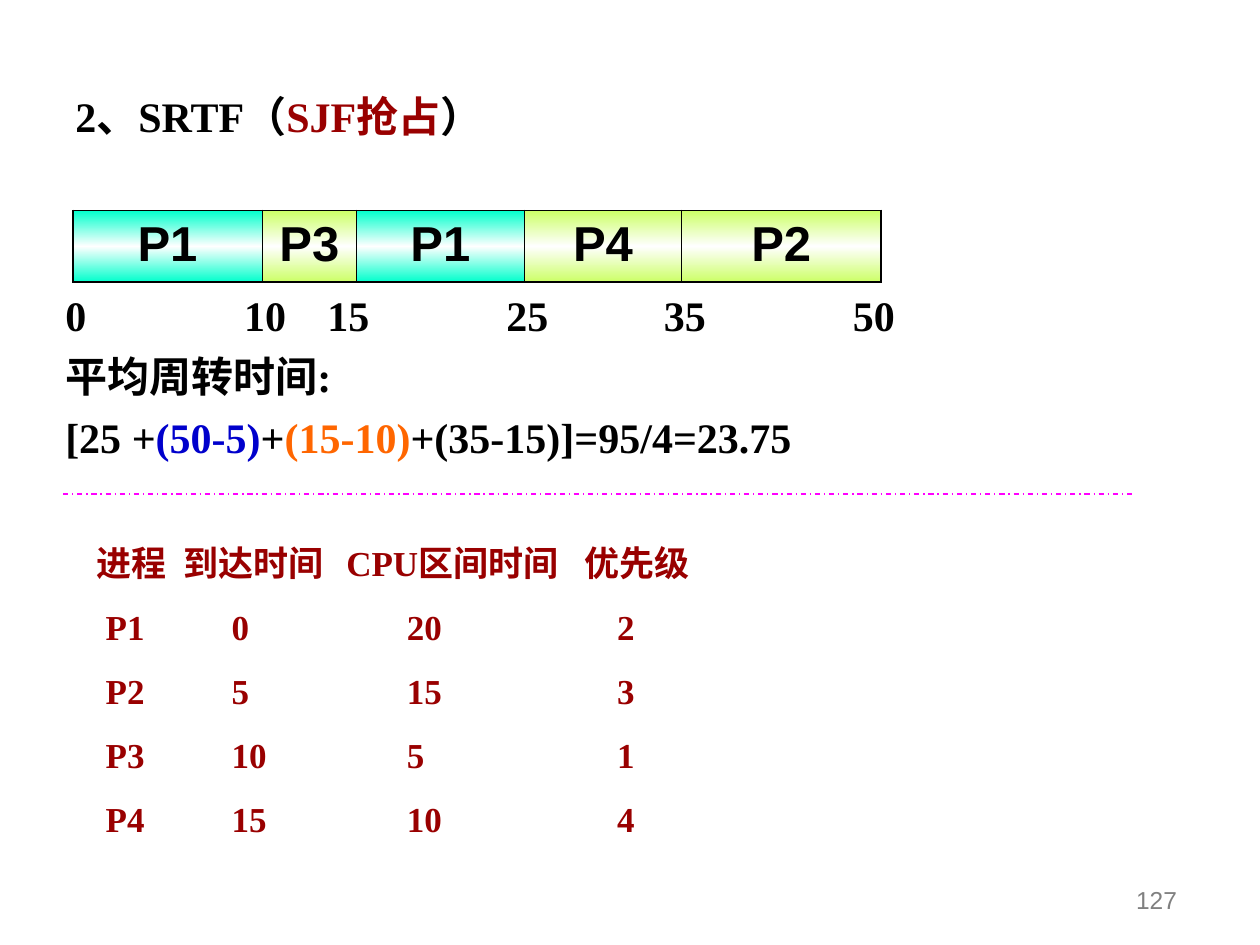
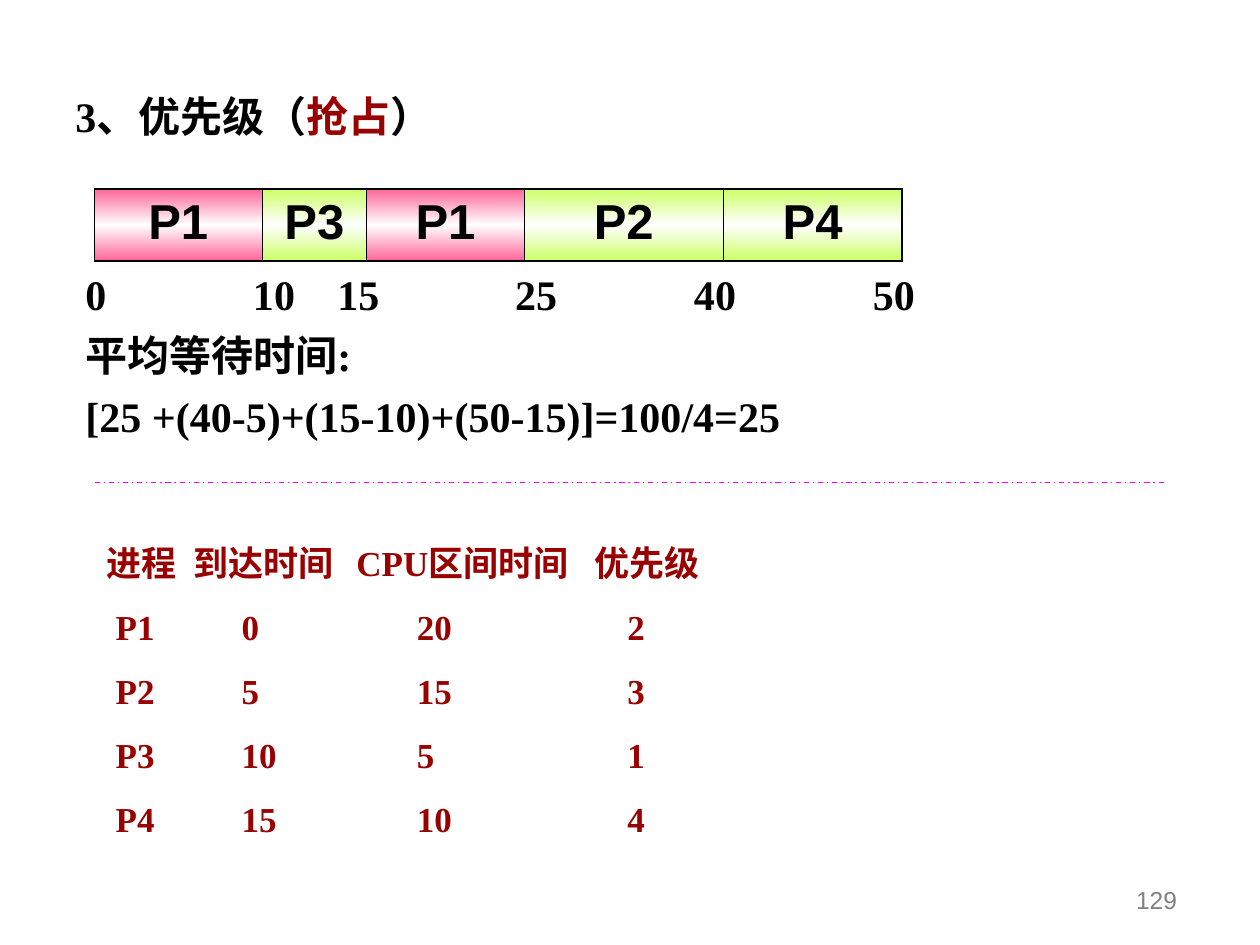
from pptx import Presentation
from pptx.dml.color import RGBColor
from pptx.enum.dml import MSO_LINE
from pptx.enum.shapes import MSO_CONNECTOR
from pptx.enum.text import MSO_ANCHOR, PP_ALIGN
from pptx.oxml import parse_xml
from pptx.oxml.ns import nsdecls, qn
from pptx.util import Inches, Pt
from lxml import etree

BLACK, RED, BLUE, ORANGE = "000000", "990000", "0000CC", "FF6600"
GRAY, MAGENTA, WHITE = "808080", "FF00FF", "FFFFFF"
AQUA, PINK, LIME = "00FFCC", "FF6699", "CCFF66"
SERIF, SANS = "Times New Roman", "Arial"

PROCESS_HEADER = ("进程", "到达时间", "CPU区间时间", "优先级")
PROCESSES = [
    ("P1", "0", "20", "2"),
    ("P2", "5", "15", "3"),
    ("P3", "10", "5", "1"),
    ("P4", "15", "10", "4"),
]
HEADER_STOPS = (0.69, 1.98, 3.87)
PROCESS_STOPS = (0.07, 1.07, 2.46, 4.13)

SCHEDULES = [
    {
        "title": [("2、SRTF（", BLACK), ("SJF抢占", RED), ("）", BLACK)],
        "title_height": 0.9,
        "gantt_at": (0.58, 1.67),
        "gantt": [("P1", 1.5), ("P3", 0.75), ("P1", 1.33), ("P4", 1.25), ("P2", 1.58)],
        "running_color": AQUA,
        "times": ("0", "10", "15", "25", "35", "50"),
        "time_stops": (1.42, 2.08, 3.5, 4.75, 6.25),
        "result_at": (0.42, 2.25),
        "measure": "平均周转时间:",
        "formula": [("[25 +", BLACK), ("(50-5)", BLUE), ("+", BLACK),
                    ("(15-10)", ORANGE), ("+(35-15)]=95/4=23.75", BLACK)],
        "divider_at": (0.5, 3.92),
        "processes_left": 0.67,
        "number": "127",
    },
    {
        "title": [("3、优先级（", BLACK), ("抢占", RED), ("）", BLACK)],
        "title_height": 0.5,
        "gantt_at": (0.75, 1.5),
        "gantt": [("P1", 1.33), ("P3", 0.83), ("P1", 1.25), ("P2", 1.58), ("P4", 1.42)],
        "running_color": PINK,
        "times": ("0", "10", "15", "25", "40", "50"),
        "time_stops": (1.33, 2, 3.41, 4.83, 6.25),
        "result_at": (0.58, 2.08),
        "measure": "平均等待时间:",
        "formula": [("[25 +(40-5)+(15-10)+(50-15)]=100/4=25", BLACK)],
        "divider_at": (0.75, 3.83),
        "processes_left": 0.75,
        "number": "129",
    },
]


def rgb(color):
    return RGBColor.from_string(color)


def add_spans(para, spans, size, font=SERIF, bold=True):
    for text, color in spans:
        span = para.add_run()
        span.text = text
        span.font.name = font
        span.font.size = Pt(size)
        span.font.bold = bold
        span.font.color.rgb = rgb(color)


def set_tab_stops(para, stops):
    tab_list = etree.SubElement(para._p.get_or_add_pPr(), qn("a:tabLst"))
    for stop in stops:
        etree.SubElement(tab_list, qn("a:tab"), pos=str(int(Inches(stop))), algn="l")


def add_text(page, place, lines, size, gap=0, font=SERIF, bold=True):
    """Add a text box; each line is a pair of spans and tab stops."""
    box = page.shapes.add_textbox(*map(Inches, place))
    frame = box.text_frame
    frame.word_wrap = True
    for index, (spans, stops) in enumerate(lines):
        para = frame.add_paragraph() if index else frame.paragraphs[0]
        if stops:
            set_tab_stops(para, stops)
        para.space_before = Pt(gap if index else 0)
        add_spans(para, spans, size, font, bold)
    return frame


def style_cell(cell, color, first, last):
    """Draw the cell's borders and its vertical colour-white-colour gradient."""
    properties = cell._tc.get_or_add_tcPr()
    widths = {"L": 1.08 if first else 0.45, "R": 1.08 if last else 0.45,
              "T": 1.08, "B": 1.08}
    for side, width in widths.items():
        properties.append(parse_xml(
            f'<a:ln{side} {nsdecls("a")} w="{int(Pt(width))}"><a:solidFill>'
            f'<a:srgbClr val="{BLACK}"/></a:solidFill></a:ln{side}>'))
    stops = "".join(
        f'<a:gs pos="{position}"><a:srgbClr val="{shade}"/></a:gs>'
        for position, shade in ((0, color), (50000, WHITE), (100000, color)))
    properties.append(parse_xml(
        f'<a:gradFill {nsdecls("a")} rotWithShape="1"><a:gsLst>{stops}</a:gsLst>'
        '<a:lin ang="5400000" scaled="1"/></a:gradFill>'))


def add_gantt(page, schedule):
    bars = schedule["gantt"]
    left, top = schedule["gantt_at"]
    width = sum(length for _, length in bars)
    table = page.shapes.add_table(
        1, len(bars), *map(Inches, (left, top, width, 0.57))).table
    table.first_row = table.horz_banding = False
    for index, (process, length) in enumerate(bars):
        table.columns[index].width = Inches(length)
        cell = table.cell(0, index)
        color = schedule["running_color"] if process == "P1" else LIME
        style_cell(cell, color, index == 0, index == len(bars) - 1)
        para = cell.text_frame.paragraphs[0]
        para.alignment = PP_ALIGN.CENTER
        add_spans(para, [(process, BLACK)], 28, SANS)


def add_divider(page, left, top):
    line = page.shapes.add_connector(
        MSO_CONNECTOR.STRAIGHT, *map(Inches, (left, top, left + 8.5, top)))
    line.line.color.rgb = rgb(MAGENTA)
    line.line.width = Pt(0.75)
    line.line.dash_style = MSO_LINE.DASH_DOT
    etree.SubElement(line._element.spPr, qn("a:effectLst"))


def add_processes(page, left):
    lines = [([("\t".join(PROCESS_HEADER), RED)], HEADER_STOPS)]
    for process in PROCESSES:
        lines.append(([("\t" + "\t".join(process), RED)], PROCESS_STOPS))
    add_text(page, (left, 4.25, 5.08, 2.46), lines, 20, gap=12.5)


def add_page_number(page, number):
    frame = add_text(page, (7.36, 6.81, 2.08, 0.5), [([(number, GRAY)], ())],
                     14, font=SANS, bold=False)
    frame.vertical_anchor = MSO_ANCHOR.BOTTOM
    frame.paragraphs[0].alignment = PP_ALIGN.RIGHT


def add_schedule(deck, schedule):
    page = deck.slides.add_slide(deck.slide_layouts[6])
    add_text(page, (0.5, 0.67, 3.75, schedule["title_height"]),
             [(schedule["title"], ())], 24)
    add_gantt(page, schedule)
    results = [
        ([("\t".join(schedule["times"]), BLACK)], schedule["time_stops"]),
        ([(schedule["measure"], BLACK)], ()),
        (schedule["formula"], ()),
    ]
    add_text(page, (*schedule["result_at"], 9, 1.47), results, 24, gap=6)
    add_divider(page, *schedule["divider_at"])
    add_processes(page, schedule["processes_left"])
    add_page_number(page, schedule["number"])


def main():
    deck = Presentation()
    deck.slide_width, deck.slide_height = Inches(10), Inches(7.5)
    for schedule in SCHEDULES:
        add_schedule(deck, schedule)
    deck.save("out.pptx")


if __name__ == "__main__":
    main()
